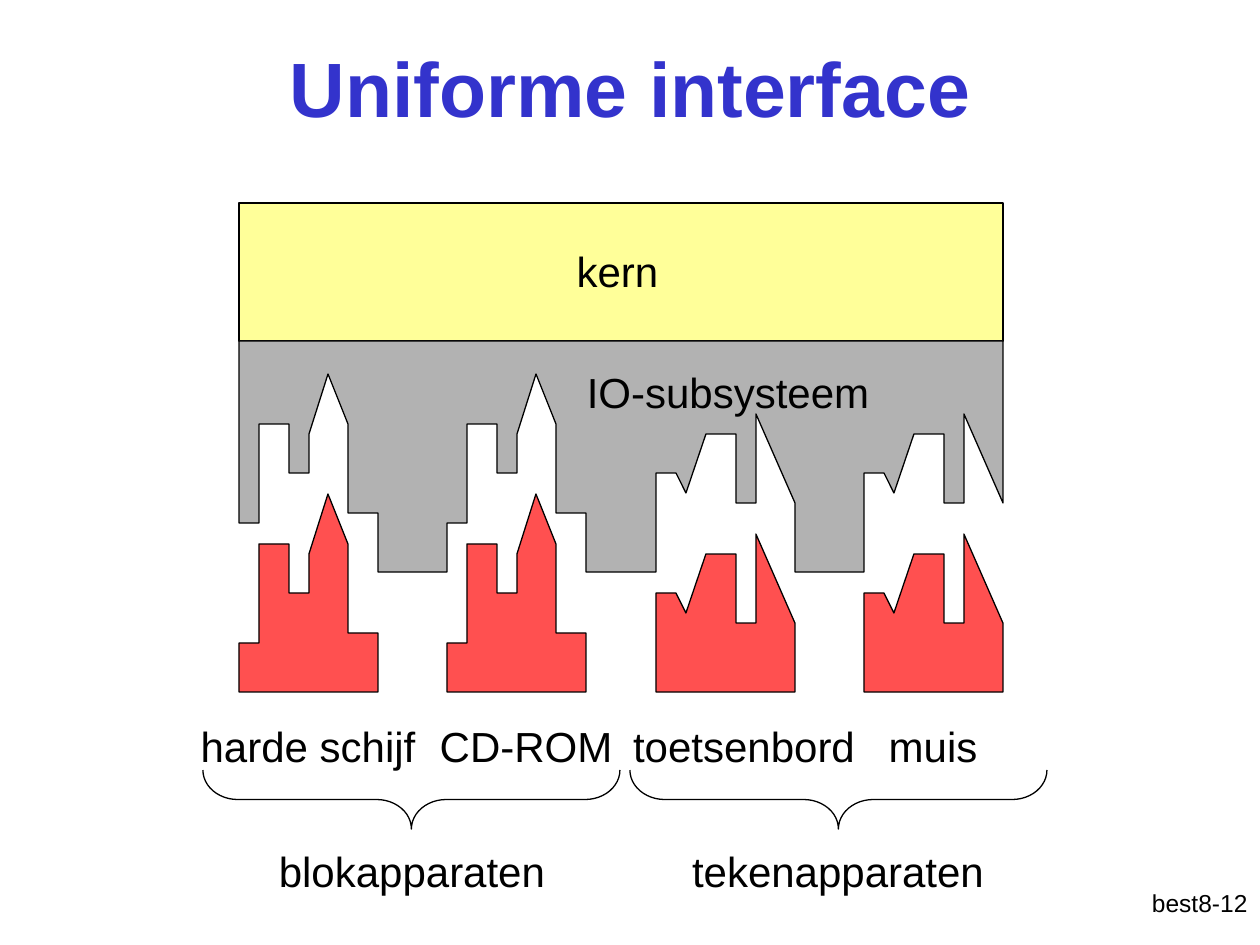
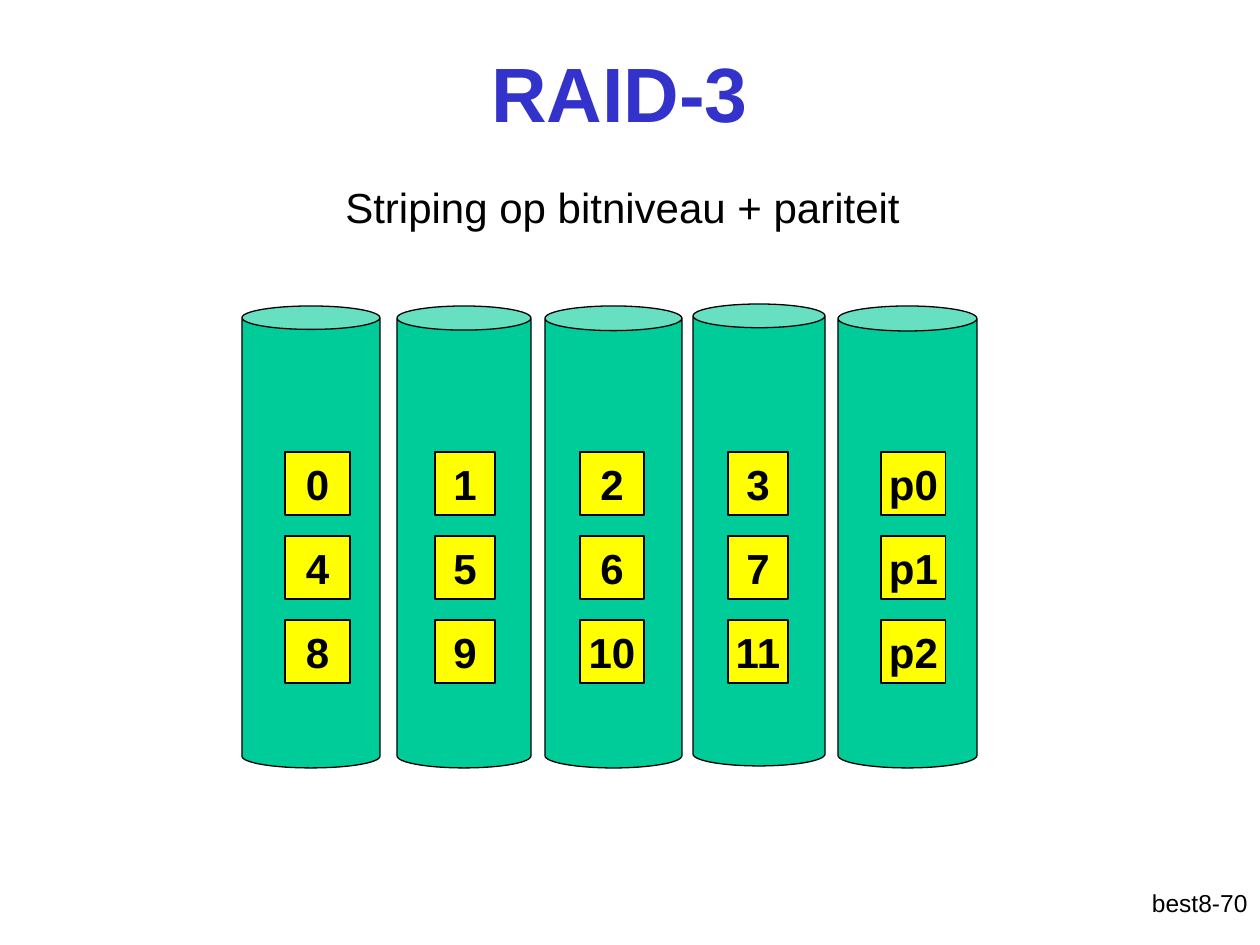
from pptx import Presentation
from pptx import util as u
from pptx.dml.color import RGBColor
from pptx.enum import shapes, text

PX = 7257  # EMU in one px, 126 px to the inch
BLACK, BLUE = "000000", "3333CC"
YELLOW, PALE_YELLOW = "FFFF00", "FFFF99"
GREY, RED, GREEN = "B2B2B2", "FF5050", "00CC99"


def paint(fill, colour):
    """Make the fill of a shape, line or font one solid colour."""
    fill.solid()
    fill.fore_color.rgb = RGBColor.from_string(colour)


def write(shape, words, size=24, colour=BLACK, bold=False, align="CENTER", anchor="TOP", wrap=True):
    frame = shape.text_frame
    frame.word_wrap = wrap
    frame.vertical_anchor = text.MSO_ANCHOR[anchor]
    para = frame.paragraphs[0]
    para.alignment = text.PP_ALIGN[align]
    span = para.add_run()
    span.text = words
    span.font.name = "Arial"
    span.font.size = u.Pt(size)
    span.font.bold = bold
    paint(span.font.fill, colour)


deck = Presentation()
deck.slide_width, deck.slide_height = 1260 * PX, 945 * PX

# Title and footer of every slide
pages = []
for title, footer, left, top, height in [
    ("Uniforme interface", "best8-12", 95, 8, 157),
    ("RAID-3", "best8-70", 84, 63, 57),
]:
    page = deck.slides.add_slide(deck.slide_layouts[6])
    pages.append(page)
    box = page.shapes.add_textbox(998 * PX, 882 * PX, 262 * PX, 63 * PX)
    write(box, footer, size=14, align="RIGHT")
    box = page.shapes.add_textbox(left * PX, top * PX, 1071 * PX, height * PX)
    write(box, title, size=44, colour=BLUE, bold=True, anchor="MIDDLE")
interface, raid = pages

# Uniform interface: kernel, I/O subsystem and the devices that fit its sockets
kernel = interface.shapes.add_shape(
    shapes.MSO_SHAPE.RECTANGLE, 239 * PX, 203 * PX, 764 * PX, 138 * PX)
paint(kernel.fill, PALE_YELLOW)

DEVICE_WIDTH, DEVICE_BOTTOM, SOCKET_RISE = 139, 692, 120
block_profile = [(0, 643), (20, 643), (20, 544), (50, 544), (50, 593), (70, 593),
                 (70, 554), (89, 494), (109, 544), (109, 633), (139, 633)]
character_profile = [(0, 593), (20, 593), (30, 613), (50, 554), (80, 554), (80, 623),
                     (100, 623), (100, 534), (139, 623)]

subsystem_outline = [(239, 341)]
device_outlines = []
for index, profile in enumerate([block_profile] * 2 + [character_profile] * 2):
    left = 239 + round(index * 625 / 3)
    right = left + DEVICE_WIDTH
    upper = [(left + x, y) for x, y in profile]
    device_outlines.append(upper + [(right, DEVICE_BOTTOM), (left, DEVICE_BOTTOM)])
    socket = [(x, y - SOCKET_RISE) for x, y in upper]
    if index > 0:
        socket.insert(0, (left, DEVICE_BOTTOM - SOCKET_RISE))
    if index < 3:
        socket.append((right, DEVICE_BOTTOM - SOCKET_RISE))
    subsystem_outline += socket
subsystem_outline.append((1003, 341))

for outline, colour in [(subsystem_outline, GREY)] + [(device, RED) for device in device_outlines]:
    builder = interface.shapes.build_freeform(*outline[0], scale=PX)
    builder.add_line_segments(outline[1:], close=True)
    paint(builder.convert_to_shape().fill, colour)

for left in (382, 809):
    brace = interface.shapes.add_shape(
        shapes.MSO_SHAPE.LEFT_BRACE, left * PX, 591 * PX, 59 * PX, 417 * PX)
    brace.rotation = 270
    brace.adjustments[0] = 0.59
    brace.fill.background()

for label, left, top, width in [
    ("kern", 469, 239, 297),
    ("IO-subsysteem", 498, 360, 460),
    ("harde schijf", 184, 714, 248),
    ("CD-ROM", 402, 714, 248),
    ("toetsenbord", 620, 714, 248),
    ("muis", 809, 714, 248),
    ("blokapparaten", 243, 839, 338),
    ("tekenapparaten", 669, 839, 338),
]:
    write(interface.shapes.add_textbox(left * PX, top * PX, width * PX, 63 * PX), label)

# RAID-3: one disk per column, the last one for parity
subtitle = raid.shapes.add_textbox(333 * PX, 175 * PX, 823 * PX, 79 * PX)
write(subtitle, "Striping op bitniveau + pariteit", align="LEFT")

for left, top, width, lid, cell_left, cell_width, labels in [
    (242, 306, 138, 0.17, 285, 65, ("0", "4", "8")),
    (397, 306, 134, 0.18, 435, 60, ("1", "5", "9")),
    (545, 306, 137, 0.18, 580, 64, ("2", "6", "10")),
    (693, 304, 132, 0.18, 728, 60, ("3", "7", "11")),
    (838, 306, 139, 0.18, 881, 65, ("p0", "p1", "p2")),
]:
    disk = raid.shapes.add_shape(
        shapes.MSO_SHAPE.CAN, left * PX, top * PX, width * PX, 462 * PX)
    disk.adjustments[0] = lid
    paint(disk.fill, GREEN)
    for row, label in enumerate(labels):
        cell = raid.shapes.add_shape(
            shapes.MSO_SHAPE.RECTANGLE, cell_left * PX, (452 + 84 * row) * PX,
            cell_width * PX, 63 * PX)
        paint(cell.fill, YELLOW)
        write(cell, label, bold=True, anchor="MIDDLE", wrap=False)

# Thin black outline on every drawn shape
for page in pages:
    for shape in page.shapes:
        if shape.shape_type != shapes.MSO_SHAPE_TYPE.TEXT_BOX:
            shape.shadow.inherit = False
            shape.line.width = u.Pt(0.75)
            paint(shape.line.fill, BLACK)

deck.save("out.pptx")
